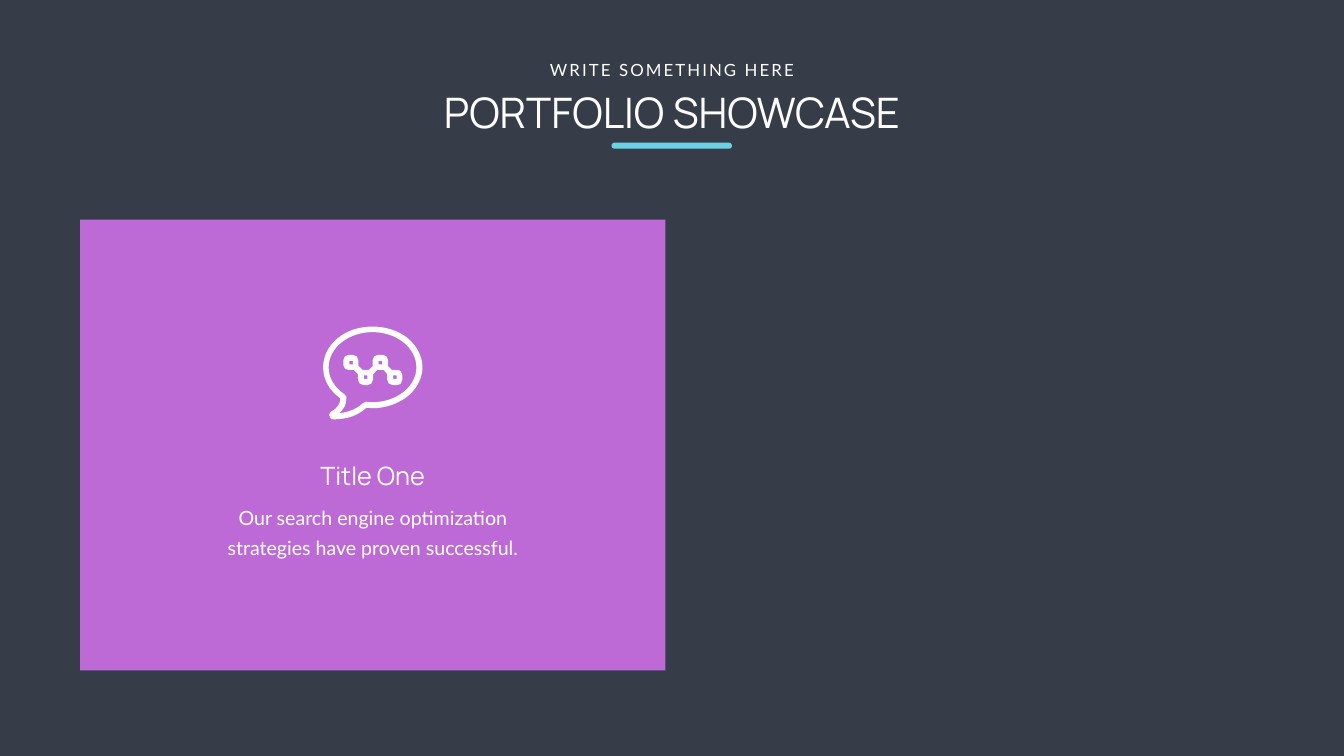
"""Build the portfolio showcase slide with its icon card."""
from typing import NamedTuple

from lxml import etree
from pptx import Presentation
from pptx.dml.color import RGBColor
from pptx.enum.shapes import MSO_SHAPE
from pptx.enum.text import MSO_ANCHOR, MSO_AUTO_SIZE, PP_ALIGN
from pptx.oxml.ns import qn
from pptx.util import Inches, Pt

RECT, ROUND_RECT = MSO_SHAPE.RECTANGLE, MSO_SHAPE.ROUNDED_RECTANGLE
CENTER, TOP = PP_ALIGN.CENTER, MSO_ANCHOR.TOP
GROW = MSO_AUTO_SIZE.SHAPE_TO_FIT_TEXT

SLATE = RGBColor(0x36, 0x3D, 0x48)
PURPLE = RGBColor(0xBD, 0x6A, 0xD7)
CYAN = RGBColor(0x6C, 0xD1, 0xE5)
WHITE = RGBColor(0xFF, 0xFF, 0xFF)
HEAD_FONT, BODY_FONT = "Manrope", "Lato"


class Contour(NamedTuple):
    """A closed outline: a segment holds one point (line) or three (curve)."""
    start: tuple
    segments: list


BUBBLE = [
    Contour((7.39, 7.98), [
        (7.35, 7.98, 7.31, 7.98, 7.26, 7.97), (7.24, 7.97, 7.22, 7.98, 7.2, 8),
        (7.12, 8.07, 7.03, 8.13, 6.92, 8.16), (6.86, 8.18, 6.8, 8.19, 6.72, 8.2),
        (6.75, 8.18, 6.78, 8.15, 6.8, 8.12), (6.85, 8.06, 6.87, 7.99, 6.87, 7.92),
        (6.87, 7.9, 6.87, 7.89, 6.87, 7.87), (6.86, 7.85, 6.85, 7.83, 6.83, 7.82),
        (6.63, 7.69, 6.52, 7.49, 6.52, 7.29), (6.52, 6.9, 6.91, 6.59, 7.39, 6.59),
        (7.87, 6.59, 8.26, 6.9, 8.26, 7.29), (8.26, 7.67, 7.87, 7.98, 7.39, 7.98)]),
    Contour((8.09, 6.71), [
        (7.9, 6.56, 7.65, 6.48, 7.39, 6.48), (7.13, 6.48, 6.88, 6.56, 6.7, 6.71),
        (6.51, 6.87, 6.41, 7.07, 6.41, 7.29), (6.41, 7.52, 6.53, 7.75, 6.75, 7.9),
        (6.75, 7.91, 6.75, 7.92, 6.75, 7.92), (6.75, 7.99, 6.71, 8.09, 6.58, 8.16),
        (6.55, 8.18, 6.53, 8.2, 6.53, 8.24), (6.53, 8.26, 6.54, 8.28, 6.56, 8.3),
        (6.57, 8.32, 6.59, 8.32, 6.62, 8.32), (6.82, 8.32, 7.06, 8.28, 7.27, 8.09),
        (7.31, 8.09, 7.35, 8.1, 7.39, 8.1), (7.65, 8.1, 7.9, 8.01, 8.09, 7.86),
        (8.27, 7.71, 8.38, 7.5, 8.38, 7.29), (8.38, 7.07, 8.27, 6.87, 8.09, 6.71)]),
]
CHAIN = Contour((7.87, 7.34), [
    (7.79, 7.34), (7.78, 7.34, 7.77, 7.34, 7.77, 7.34), (7.69, 7.26),
    (7.69, 7.26, 7.7, 7.25, 7.7, 7.24), (7.7, 7.15),
    (7.7, 7.09, 7.65, 7.04, 7.59, 7.04), (7.5, 7.04),
    (7.44, 7.04, 7.39, 7.09, 7.39, 7.15), (7.39, 7.24),
    (7.39, 7.25, 7.39, 7.26, 7.4, 7.26), (7.32, 7.34),
    (7.31, 7.34, 7.31, 7.34, 7.3, 7.34), (7.21, 7.34),
    (7.2, 7.34, 7.19, 7.34, 7.19, 7.34), (7.11, 7.26),
    (7.11, 7.26, 7.11, 7.25, 7.11, 7.24), (7.11, 7.15),
    (7.11, 7.09, 7.06, 7.04, 7, 7.04), (6.91, 7.04),
    (6.86, 7.04, 6.81, 7.09, 6.81, 7.15), (6.81, 7.24),
    (6.81, 7.3, 6.86, 7.34, 6.91, 7.34), (7, 7.34),
    (7.01, 7.34, 7.02, 7.34, 7.02, 7.34), (7.1, 7.42),
    (7.1, 7.43, 7.1, 7.43, 7.1, 7.44), (7.1, 7.53),
    (7.1, 7.59, 7.15, 7.64, 7.21, 7.64), (7.3, 7.64),
    (7.35, 7.64, 7.4, 7.59, 7.4, 7.53), (7.4, 7.44),
    (7.4, 7.44, 7.4, 7.43, 7.4, 7.43), (7.48, 7.34),
    (7.49, 7.34, 7.49, 7.34, 7.5, 7.34), (7.59, 7.34),
    (7.6, 7.34, 7.6, 7.34, 7.61, 7.34), (7.68, 7.42),
    (7.68, 7.43, 7.68, 7.43, 7.68, 7.44), (7.68, 7.53),
    (7.68, 7.59, 7.73, 7.64, 7.79, 7.64), (7.87, 7.64),
    (7.94, 7.64, 7.98, 7.59, 7.98, 7.53), (7.98, 7.44),
    (7.98, 7.38, 7.94, 7.34, 7.87, 7.34)])
NODE_SIZE = 0.07
NODES = [(6.93, 7.16), (7.22, 7.45), (7.51, 7.16), (7.8, 7.45)]


def square(x: float, y: float, size: float) -> Contour:
    return Contour((x, y), [(x + size, y), (x + size, y + size), (x, y + size), (x, y)])


def paint(sp, color: RGBColor) -> None:
    sp.shadow.inherit = False
    sp.fill.solid()
    sp.fill.fore_color.rgb = color
    sp.line.fill.background()


def add_block(shapes, kind, box: tuple, color: RGBColor):
    sp = shapes.add_shape(kind, *map(Inches, box))
    paint(sp, color)
    return sp


def bend(sp, line, seg: tuple) -> None:
    curve = etree.Element(qn("a:cubicBezTo"))
    for x, y in zip(seg[::2], seg[1::2]):
        etree.SubElement(curve, qn("a:pt"), x=str(Inches(x) - sp.left),
                         y=str(Inches(y) - sp.top))
    line.getparent().replace(line, curve)


def add_outline(shapes, contours: list, color: RGBColor) -> None:
    builder = None
    for contour in contours:
        x, y = map(Inches, contour.start)
        if builder is None:
            builder = shapes.build_freeform(x, y)
        else:
            builder.move_to(x, y)
        ends = [tuple(map(Inches, seg[-2:])) for seg in contour.segments]
        builder.add_line_segments(ends, close=True)
    sp = builder.convert_to_shape()
    segments = [seg for contour in contours for seg in contour.segments]
    for line, seg in zip(list(sp._element.iter(qn("a:lnTo"))), segments):
        if len(seg) == 6:
            bend(sp, line, seg)
    paint(sp, color)


def write_text(sp, text: str, *, size: int, font: str, wrap: bool = True,
               inset: tuple = (0.1, 0.05), leading: int = 0, tracking: int = 0) -> None:
    tf = sp.text_frame
    tf.word_wrap, tf.auto_size, tf.vertical_anchor = wrap, GROW, TOP
    tf.margin_left = tf.margin_right = Inches(inset[0])
    tf.margin_top = tf.margin_bottom = Inches(inset[1])
    p = tf.paragraphs[0]
    p.alignment = CENTER
    if leading:
        p.line_spacing = Pt(leading)
    r = p.add_run()
    r.text = text
    r.font.name, r.font.size, r.font.color.rgb = font, Pt(size), WHITE
    if tracking:
        r._r.get_or_add_rPr().set("spc", str(tracking * 100))


def add_text(shapes, box: tuple, text: str, **fmt) -> None:
    write_text(shapes.add_textbox(*map(Inches, box)), text, **fmt)


def main() -> None:
    prs = Presentation()
    prs.slide_width, prs.slide_height = Inches(26.66), Inches(15)
    s = prs.slides.add_slide(prs.slide_layouts[5])
    s.background.fill.solid()
    s.background.fill.fore_color.rgb = SLATE
    shapes = s.shapes

    add_block(shapes, RECT, (1.59, 4.36, 11.61, 8.94), PURPLE)
    add_text(shapes, (6.18, 9.09, 2.42, 0.71), "Title One", size=36, font=HEAD_FONT,
             wrap=False)
    add_text(shapes, (4.23, 9.79, 6.33, 1.39),
             "Our search engine optimization strategies have proven successful.",
             size=28, font=BODY_FONT, inset=(0.24, 0.12), leading=43)
    add_outline(shapes, BUBBLE, WHITE)
    add_outline(shapes, [square(x, y, NODE_SIZE) for x, y in NODES] + [CHAIN], WHITE)

    title = shapes.title
    title.left, title.top, title.width, title.height = map(Inches, (5.3, 1.67, 16.06, 1.11))
    write_text(title, "PORTFOLIO SHOWCASE", size=60, font=HEAD_FONT)
    add_text(shapes, (10.76, 1.13, 5.14, 0.5), "WRITE SOMETHING HERE", size=24,
             font=BODY_FONT, wrap=False, tracking=3)
    rule = add_block(shapes, ROUND_RECT, (12.13, 2.83, 2.39, 0.12), CYAN)
    rule.adjustments[0] = 0.5
    prs.save("out.pptx")


if __name__ == "__main__":
    main()
